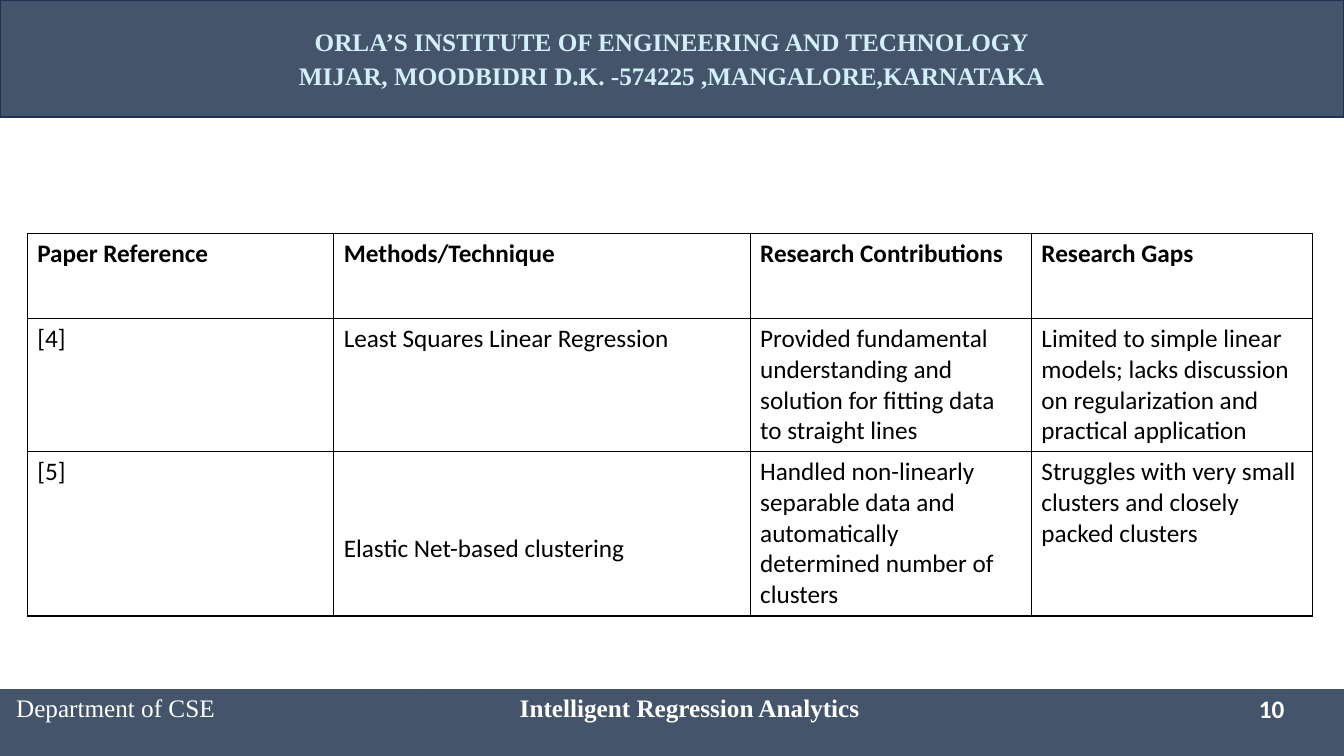
from dataclasses import dataclass

from lxml import etree
from pptx import Presentation
from pptx import util as u
from pptx.dml.color import RGBColor
from pptx.enum import shapes, text
from pptx.oxml import ns

LEFT, CENTER, RIGHT = text.PP_ALIGN.LEFT, text.PP_ALIGN.CENTER, text.PP_ALIGN.RIGHT


@dataclass(frozen=True)
class Theme:
    band: str = "44546A"
    band_line: str = "1E3256"
    heading: str = "D2EFFA"
    ink: str = "000000"
    light: str = "FFFFFF"
    sans: str = "Calibri"
    serif: str = "Times New Roman"
    size: int = 18
    line_width: int = 1


class SlideBuilder:
    def __init__(self, slide, theme):
        self.slide = slide
        self.theme = theme

    def add_text(self, paragraph, words, font, color, bold=False, align=LEFT):
        paragraph.alignment = align
        run = paragraph.add_run()
        run.text = words
        run.font.name = font
        run.font.size = u.Pt(self.theme.size)
        run.font.bold = bold
        run.font.color.rgb = RGBColor.from_string(color)

    def banner(self, left, top, width, height, lines):
        shape = self.slide.shapes.add_shape(
            shapes.MSO_SHAPE.RECTANGLE, *map(u.Inches, (left, top, width, height)))
        shape.shadow.inherit = False
        shape.fill.solid()
        shape.fill.fore_color.rgb = RGBColor.from_string(self.theme.band)
        shape.line.color.rgb = RGBColor.from_string(self.theme.band_line)
        shape.line.width = u.Pt(self.theme.line_width)
        frame = shape.text_frame
        frame.word_wrap = True
        frame.vertical_anchor = text.MSO_ANCHOR.MIDDLE
        for index, line in enumerate(lines):
            paragraph = frame.add_paragraph() if index else frame.paragraphs[0]
            paragraph.space_before = u.Pt(2.9)
            self.add_text(paragraph, line, self.theme.serif, self.theme.heading, True, CENTER)

    def table(self, left, top, widths, heights):
        frame = self.slide.shapes.add_table(
            len(heights), len(widths),
            *map(u.Inches, (left, top, sum(widths), sum(heights))))
        table = frame.table
        table.first_row = table.horz_banding = False
        for column, width in zip(table.columns, widths):
            column.width = u.Inches(width)
        for row, height in zip(table.rows, heights):
            row.height = u.Inches(height)
        return table

    def style_cell(self, cell, fill, border):
        properties = cell._tc.get_or_add_tcPr()
        for side in ("a:lnL", "a:lnR", "a:lnT", "a:lnB"):
            line = etree.SubElement(properties, ns.qn(side), w=str(u.Pt(self.theme.line_width)))
            solid = etree.SubElement(line, ns.qn("a:solidFill"))
            etree.SubElement(solid, ns.qn("a:srgbClr"), val=border)
        cell.fill.solid()
        cell.fill.fore_color.rgb = RGBColor.from_string(fill)

    def review_table(self, left, top, widths, heights, rows):
        table = self.table(left, top, widths, heights)
        for r, row in enumerate(rows):
            for c, words in enumerate(row):
                cell = table.cell(r, c)
                self.style_cell(cell, self.theme.light, self.theme.ink)
                self.add_text(cell.text_frame.paragraphs[0], words,
                              self.theme.sans, self.theme.ink, bold=r == 0)
        return table

    def footer(self, left, top, widths, height, entries):
        table = self.table(left, top, widths, [height])
        for c, (words, font, bold, align) in enumerate(entries):
            cell = table.cell(0, c)
            self.style_cell(cell, self.theme.band, self.theme.band)
            self.add_text(cell.text_frame.paragraphs[0], words, font,
                          self.theme.light, bold, align)
        return table


def main():
    theme = Theme()
    presentation = Presentation()
    presentation.slide_width = u.Inches(13.33)
    presentation.slide_height = u.Inches(7.5)
    slide = presentation.slides.add_slide(presentation.slide_layouts[6])
    builder = SlideBuilder(slide, theme)

    review = builder.review_table(0.27, 2.32, [3.04, 4.13, 2.79, 2.79], [0.84, 1.32, 1.63], [
        ["Paper Reference", "Methods/Technique", "Research Contributions", "Research Gaps"],
        ["[4]", "Least Squares Linear Regression",
         "Provided fundamental understanding and solution for fitting data to straight lines",
         "Limited to simple linear models; lacks discussion on regularization "
         "and practical application"],
        ["[5]", "Elastic Net-based clustering",
         "Handled non-linearly separable data and automatically determined number of clusters",
         "Struggles with very small clusters and closely packed clusters"],
    ])
    clustering = review.cell(2, 1)
    clustering.vertical_anchor = text.MSO_ANCHOR.MIDDLE
    clustering.margin_top = u.Inches(0.35)

    builder.banner(0, 0, 13.33, 1.16, [
        "ORLA’S INSTITUTE OF ENGINEERING AND TECHNOLOGY",
        "MIJAR, MOODBIDRI D.K. -574225 ,MANGALORE,KARNATAKA",
    ])

    footer = builder.footer(0, 6.84, [4.19, 5.3, 3.84], 0.66, [
        ("Department of CSE", theme.serif, False, LEFT),
        ("Intelligent Regression Analytics", theme.serif, True, CENTER),
        ("10", theme.sans, True, RIGHT),
    ])
    footer.cell(0, 0).margin_left = u.Inches(0.16)
    footer.cell(0, 2).margin_right = u.Inches(0.59)

    presentation.save("out.pptx")


if __name__ == "__main__":
    main()
